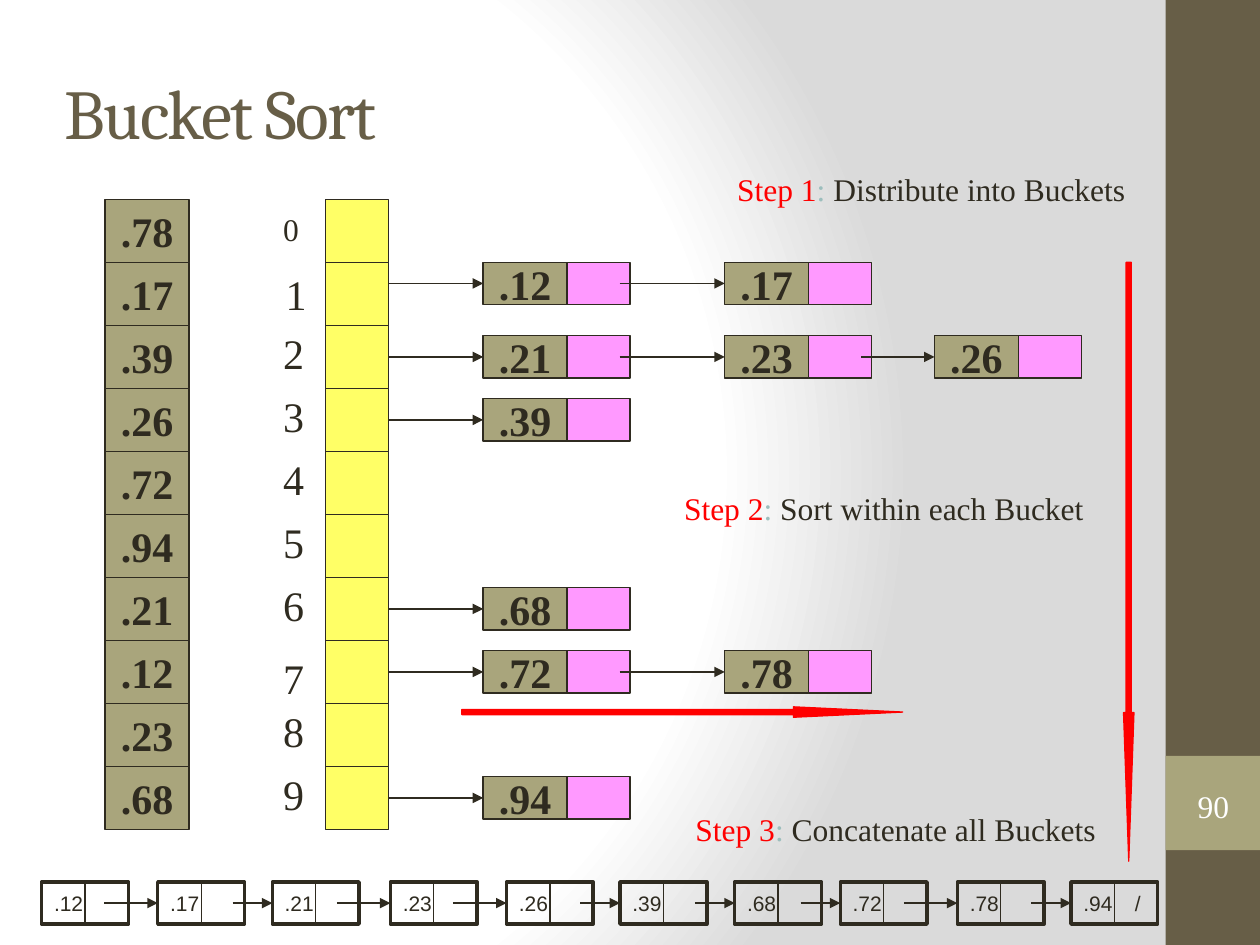
from pptx import Presentation, oxml
from pptx import util as u
from pptx.dml import color
from pptx.enum import shapes, text
from pptx.oxml import ns

COLORS = {
    "ink": "2F2B20", "olive": "675E47", "khaki": "A9A57C", "pink": "FF99FF",
    "yellow": "FFFF66", "red": "FF0000", "teal": "9CBEBD", "white": "FFFFFF",
    "gray": "DADADA",
}
FORMATS = {
    "title": {"name": "Cambria", "size": u.Pt(40)},
    "value": {"name": "Times New Roman", "size": u.Pt(24), "bold": True},
    "index": {"name": "Times New Roman", "size": u.Pt(24)},
    "label": {"name": "Times New Roman", "size": u.Pt(18)},
    "node": {"name": "Arial", "size": u.Pt(12)},
}
ROW_TOP, ROW = 4.02, 1.27
VALUE_WIDTH, POINTER_WIDTH, NODE_HEIGHT = 1.69, 1.27, 0.85
CHAIN_LEFTS = [9.74, 14.61, 18.84]
LIST_TOP, LIST_WIDTH = 17.78, 1.75

UNSORTED = [".78", ".17", ".39", ".26", ".72", ".94", ".21", ".12", ".23", ".68"]
CHAINS = {
    1: [".12", ".17"], 2: [".21", ".23", ".26"], 3: [".39"],
    6: [".68"], 7: [".72", ".78"], 9: [".94"],
}
INDEX_SHIFTS = {0: (0, 0.17), 1: (0.05, 0.08), 7: (0, 0.2)}
# text, left edge, length of the arrow coming in
SORTED_NODES = [
    (".12", 0.84, 0), (".17", 3.18, 1.08), (".21", 5.49, 0.8),
    (".23", 7.87, 1.08), (".26", 10.21, 1.08), (".39", 12.5, 0.8),
    (".68", 14.81, 0.8), (".72", 16.94, 0.8), (".78", 19.3, 1.08),
    (".94\t/", 21.59, 0.8),
]
STEPS = [
    ("Step 1", " Distribute into Buckets", 14.61, 3.3),
    ("Step 2", " Sort within each Bucket", 13.54, 9.73),
    ("Step 3", " Concatenate all Buckets", 13.77, 16.21),
]


def rgb(name):
    return color.RGBColor.from_string(COLORS[name])


def set_background(page):
    """White radial gradient that turns gray towards the right."""
    stops = "".join(
        f'<a:gs pos="{pos}"><a:srgbClr val="{COLORS[name]}"/></a:gs>'
        for pos, name in [(0, "white"), (75000, "white"), (100000, "gray")])
    page.element.cSld.insert(0, oxml.parse_xml(
        f'<p:bg {ns.nsdecls("p", "a")}><p:bgPr><a:gradFill rotWithShape="1">'
        f'<a:gsLst>{stops}</a:gsLst><a:path path="circle"><a:fillToRect '
        'l="20000" t="50000" r="100000" b="50000"/></a:path></a:gradFill>'
        '<a:effectLst/></p:bgPr></p:bg>'))


def add_span(para, words, style, ink):
    span = para.add_run()
    span.text = words
    for key, value in FORMATS[style].items():
        setattr(span.font, key, value)
    span.font.color.rgb = rgb(ink)
    return span


def add_box(page, left, top, width, height, fill=None, line="ink", weight=0.75,
            kind=shapes.MSO_SHAPE.RECTANGLE):
    box = page.shapes.add_shape(kind, u.Cm(left), u.Cm(top), u.Cm(width), u.Cm(height))
    box.shadow.inherit = False
    if fill:
        box.fill.solid()
        box.fill.fore_color.rgb = rgb(fill)
    else:
        box.fill.background()
    if line:
        box.line.color.rgb = rgb(line)
        box.line.width = u.Pt(weight)
    else:
        box.line.fill.background()
    return box


def label_box(box, words, style, ink="ink", align=text.PP_ALIGN.CENTER):
    frame = box.text_frame
    frame.word_wrap = False
    frame.vertical_anchor = text.MSO_ANCHOR.MIDDLE
    para = frame.paragraphs[0]
    para.alignment = align
    if "\t" in words:
        para._p.get_or_add_pPr().append(oxml.parse_xml(
            f'<a:tabLst {ns.nsdecls("a")}><a:tab pos="{u.Cm(1.04)}" algn="l"/></a:tabLst>'))
    add_span(para, words, style, ink)


def add_text(page, left, top, width, height, spans, style, wrap=True):
    """Text box with one line of (words, colour) spans."""
    box = page.shapes.add_textbox(u.Cm(left), u.Cm(top), u.Cm(width), u.Cm(height))
    box.text_frame.word_wrap = wrap
    para = box.text_frame.paragraphs[0]
    return [add_span(para, words, style, ink) for words, ink in spans]


def add_line(page, start_x, start_y, target, side, arrow=True):
    """Line from a point to the middle of one side of the target box."""
    line = page.shapes.add_connector(
        shapes.MSO_CONNECTOR.STRAIGHT, start_x, start_y, start_x, start_y)
    line.end_connect(target, side)
    line.line.color.rgb = rgb("ink")
    line.line.width = u.Pt(0.75)
    if arrow:
        line.line._get_or_add_ln().append(
            oxml.parse_xml(f'<a:tailEnd {ns.nsdecls("a")} type="triangle"/>'))
    line._element.spPr.append(oxml.parse_xml(f'<a:effectLst {ns.nsdecls("a")}/>'))
    return line


def add_arrow_into(page, start_x, box):
    add_line(page, start_x, box.top + int(box.height / 2), box, 1)


def add_sidebar(page):
    add_box(page, 23.5, 0, 1.9, 19.05, "olive", None)
    add_box(page, 23.5, 15.24, 1.9, 1.9, "khaki", None)
    number = add_box(page, 23.7, 15.7, 1.52, 1.09, line=None,
                     kind=shapes.MSO_SHAPE.DOUBLE_BRACKET)
    label_box(number, "90", "label", "white")


def add_unsorted(page):
    for row, value in enumerate(UNSORTED):
        box = add_box(page, 2.12, ROW_TOP + row * ROW, VALUE_WIDTH, ROW, "khaki")
        label_box(box, value, "value")


def add_chain(page, row, values):
    top = ROW_TOP + row * ROW + (0 if row == 1 else 0.21)
    start = 7.62
    for left, value in zip(CHAIN_LEFTS, values):
        box = add_box(page, left, top, VALUE_WIDTH, NODE_HEIGHT, "khaki")
        label_box(box, value, "value")
        add_box(page, left + VALUE_WIDTH, top, POINTER_WIDTH, NODE_HEIGHT, "pink")
        add_arrow_into(page, u.Cm(start), box)
        start = left + 2.75


def add_buckets(page):
    for row in range(10):
        add_box(page, 6.56, ROW_TOP + row * ROW, 1.27, ROW, "yellow")
        right, down = INDEX_SHIFTS.get(row, (0, 0))
        add_text(page, 5.46 + right, ROW_TOP - 0.08 + row * ROW + down, 0.94, 1.27,
                 [(str(row), "ink")], "index" if row else "label", wrap=False)


def add_sorted_list(page):
    for value, left, reach in SORTED_NODES:
        box = add_box(page, left, LIST_TOP, LIST_WIDTH, NODE_HEIGHT, weight=2)
        label_box(box, value, "node", align=text.PP_ALIGN.LEFT)
        divider = add_line(page, box.left, box.top, box, 2, arrow=False)
        divider.begin_connect(box, 0)
        if reach:
            add_arrow_into(page, box.left - u.Cm(reach), box)


def add_block_arrow(page, kind, left, top, width, height, head):
    arrow = add_box(page, left, top, width, height, "red", "red", kind=kind)
    arrow.adjustments[0] = 0.5
    arrow.adjustments[1] = head


def main():
    deck = Presentation()
    deck.slide_width, deck.slide_height = u.Cm(25.4), u.Cm(19.05)
    page = deck.slides.add_slide(deck.slide_layouts[6])
    set_background(page)
    add_sidebar(page)
    title, = add_text(page, 1.06, 1.27, 21.17, 3.17, [("Bucket Sort", "olive")], "title")
    title._r.get_or_add_rPr().set("spc", "-100")
    add_unsorted(page)
    for row, values in CHAINS.items():
        add_chain(page, row, values)
    add_buckets(page)
    add_block_arrow(page, shapes.MSO_SHAPE.DOWN_ARROW, 22.65, 5.29, 0.21, 12.07, 14.25)
    add_block_arrow(page, shapes.MSO_SHAPE.RIGHT_ARROW, 9.31, 14.25, 8.89, 0.21, 10.5)
    for step, action, left, top in STEPS:
        add_text(page, left, top, 8.7, 1.02,
                 [(step, "red"), (":", "teal"), (action, "ink")], "label")
    add_sorted_list(page)
    deck.save("out.pptx")


if __name__ == "__main__":
    main()
